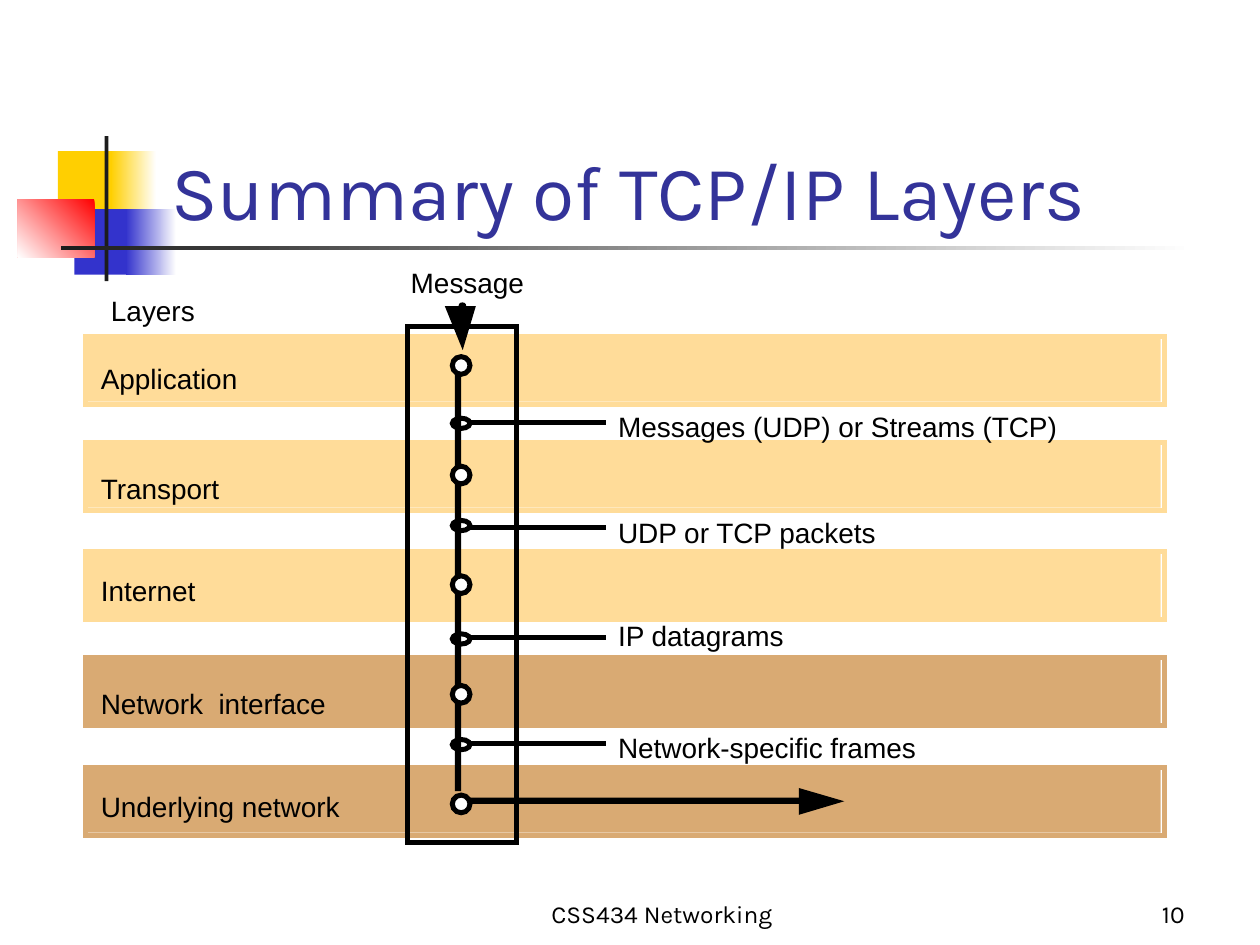
from lxml import etree
from pptx import Presentation
from pptx.dml.color import RGBColor
from pptx.enum.shapes import MSO_CONNECTOR, MSO_SHAPE
from pptx.enum.text import MSO_ANCHOR, MSO_AUTO_SIZE, PP_ALIGN
from pptx.oxml.ns import qn
from pptx.util import Pt

RECT, OVAL = MSO_SHAPE.RECTANGLE, MSO_SHAPE.OVAL
STRAIGHT = MSO_CONNECTOR.STRAIGHT
BOTTOM, TOP = MSO_ANCHOR.BOTTOM, MSO_ANCHOR.TOP
LEFT, CENTER, RIGHT = PP_ALIGN.LEFT, PP_ALIGN.CENTER, PP_ALIGN.RIGHT
NO_FIT, FIT_SHAPE = MSO_AUTO_SIZE.NONE, MSO_AUTO_SIZE.SHAPE_TO_FIT_TEXT

BLACK = RGBColor(0x00, 0x00, 0x00)
WHITE = RGBColor(0xFF, 0xFF, 0xFF)
YELLOW = RGBColor(0xFF, 0xCF, 0x01)
BLUE = RGBColor(0x33, 0x33, 0xCC)
RED = RGBColor(0xFF, 0x00, 0x00)
CHARCOAL = RGBColor(0x1C, 0x1C, 0x1C)
NAVY = RGBColor(0x33, 0x33, 0x99)
SAND = RGBColor(0xFF, 0xDC, 0x99)
TAN = RGBColor(0xD9, 0xAA, 0x73)
STROKE = Pt(2.86)

prs = Presentation()
prs.slide_width, prs.slide_height = Pt(720), Pt(540)
slide = prs.slides.add_slide(prs.slide_layouts[5])
shapes = slide.shapes


def paint(shape, fill=None, line=None):
    """Style a shape; a fill of (start, end, angle) makes a gradient."""
    shape.shadow.inherit = False
    if fill is None:
        shape.fill.background()
    elif isinstance(fill, RGBColor):
        shape.fill.solid()
        shape.fill.fore_color.rgb = fill
    else:
        start, end, angle = fill
        shape.fill.gradient()
        shape.fill.gradient_angle = angle
        for stop, color in zip(shape.fill.gradient_stops, (start, end)):
            stop.color.rgb = color
    if line is None:
        shape.line.fill.background()
    else:
        shape.line.color.rgb = line
        shape.line.width = STROKE
        corners = etree.SubElement(shape._element.spPr.find(qn("a:ln")), qn("a:miter"))
        corners.set("lim", "800000")


def write(box, text, size, font, color, align=LEFT, anchor=TOP):
    frame = box.text_frame
    frame.text = text
    frame.vertical_anchor = anchor
    paragraph = frame.paragraphs[0]
    paragraph.alignment = align
    run_font = paragraph.runs[0].font
    run_font.size, run_font.name = Pt(size), font
    run_font.color.rgb = color


# Title ornament
ornament = [
    (33.1, 86.4, 34.6, 37.4, YELLOW),
    (63.4, 86.4, 25.9, 37.4, (WHITE, YELLOW, 180)),
    (42.5, 119.5, 33.1, 37.4, BLUE),
    (72, 119.5, 28.8, 37.4, (WHITE, BLUE, 180)),
    (10.1, 113.8, 43.9, 33.1, (RED, WHITE, 225)),
    (59.8, 77.8, 2.2, 82.8, CHARCOAL),
    (34.6, 140.4, 648, 2.5, (WHITE, CHARCOAL, 180)),
]
for x, y, width, height, fill in ornament:
    paint(shapes.add_shape(RECT, Pt(x), Pt(y), Pt(width), Pt(height)), fill)

title = shapes.title
title.left, title.top, title.width, title.height = Pt(90.7), Pt(48.2), Pt(613.4), Pt(90)
write(title, "Summary of TCP/IP Layers", 44, "Karla", NAVY, LEFT, BOTTOM)
title.text_frame.auto_size = NO_FIT

# Layer bands: a filled bar inside a slightly larger frame
layers = [
    ("Application", 192.2, 206.6, 82, SAND),
    ("Transport", 252.7, 269.3, 72, SAND),
    ("Internet", 315.4, 327.6, 60, SAND),
    ("Network  interface", 375.8, 392.4, 134, TAN),
    ("Underlying network", 438.5, 451.4, 142, TAN),
]
for name, band_top, label_top, label_width, color in layers:
    paint(shapes.add_shape(RECT, Pt(49), Pt(band_top), Pt(614.2), Pt(37.4)), color)
    paint(shapes.add_shape(RECT, Pt(49), Pt(band_top), Pt(616.3), Pt(38.9)), None, color)

# Protocol stack and the message path through it
paint(shapes.add_shape(RECT, Pt(232.6), Pt(186.5), Pt(62.6), Pt(295.2)), None, BLACK)
paint(shapes.add_shape(RECT, Pt(259.9), Pt(211.7), Pt(3.6), Pt(240.5)), BLACK)

# Data units handed from layer to layer
units = [
    ("Messages (UDP) or Streams (TCP)", 234, 256, 241.2, 239),
    ("UDP or TCP packets", 294.5, 154, 301.7, 297.4),
    ("IP datagrams", 353.5, 100, 364.3, 362.2),
    ("Network-specific frames", 417.6, 176, 424.8, 422.6),
]
for name, label_top, label_width, line_y, ring_top in units:
    leader = shapes.add_connector(STRAIGHT, Pt(346.3), Pt(line_y), Pt(267.8), Pt(line_y))
    leader.line.color.rgb = BLACK
    leader.line.width = STROKE
    etree.SubElement(leader._element.spPr, qn("a:effectLst"))
    paint(shapes.add_shape(OVAL, Pt(258.5), Pt(ring_top), Pt(10.1), Pt(5.8)), None, BLACK)

# Arrows: message in at the top, out along the network
paint(shapes.add_shape(OVAL, Pt(262.1), Pt(172.8), Pt(4.3), Pt(3.6)), BLACK)
paint(shapes.add_shape(RECT, Pt(262.1), Pt(455.8), Pt(195.8), Pt(3.6)), BLACK)
arrowheads = [
    [(256.3, 176.4), (270, 176.4), (264.2, 195.8)],
    [(457.9, 452.2), (477.4, 457.9), (457.9, 463.7)],
]
for first, *others in arrowheads:
    outline = shapes.build_freeform(Pt(first[0]), Pt(first[1]))
    outline.add_line_segments([(Pt(x), Pt(y)) for x, y in others], close=True)
    paint(outline.convert_to_shape(), BLACK, BLACK)

for level in range(len(layers)):
    node_top = 203.8 + 62.64 * level
    paint(shapes.add_shape(OVAL, Pt(258.5), Pt(node_top), Pt(10.1), Pt(10.1)), WHITE, BLACK)

# Labels
labels = [("Message", 234.7, 151.9, 70), ("Layers", 63.4, 167.8, 54)]
labels += [(name, 57.6, top, width) for name, _, top, width, _ in layers]
labels += [(name, 353.2, top, width) for name, top, width, _, _ in units]
for name, x, y, width in labels:
    label = shapes.add_textbox(Pt(x), Pt(y), Pt(width), Pt(19.4))
    write(label, name, 16, "Arial", BLACK)
    frame = label.text_frame
    frame.margin_left = frame.margin_right = frame.margin_top = frame.margin_bottom = 0
    # A fixed box that wraps keeps the text at its left edge
    frame.word_wrap = True
    frame.auto_size = FIT_SHAPE

# Footer
footers = [("CSS434 Networking", 264.2, 228.2, CENTER), ("10", 534.2, 149.8, RIGHT)]
for text, x, width, align in footers:
    footer = shapes.add_textbox(Pt(x), Pt(498.2), Pt(width), Pt(36))
    write(footer, text, 14, "Karla", BLACK, align, BOTTOM)
    footer.text_frame.word_wrap = True

prs.save("out.pptx")
